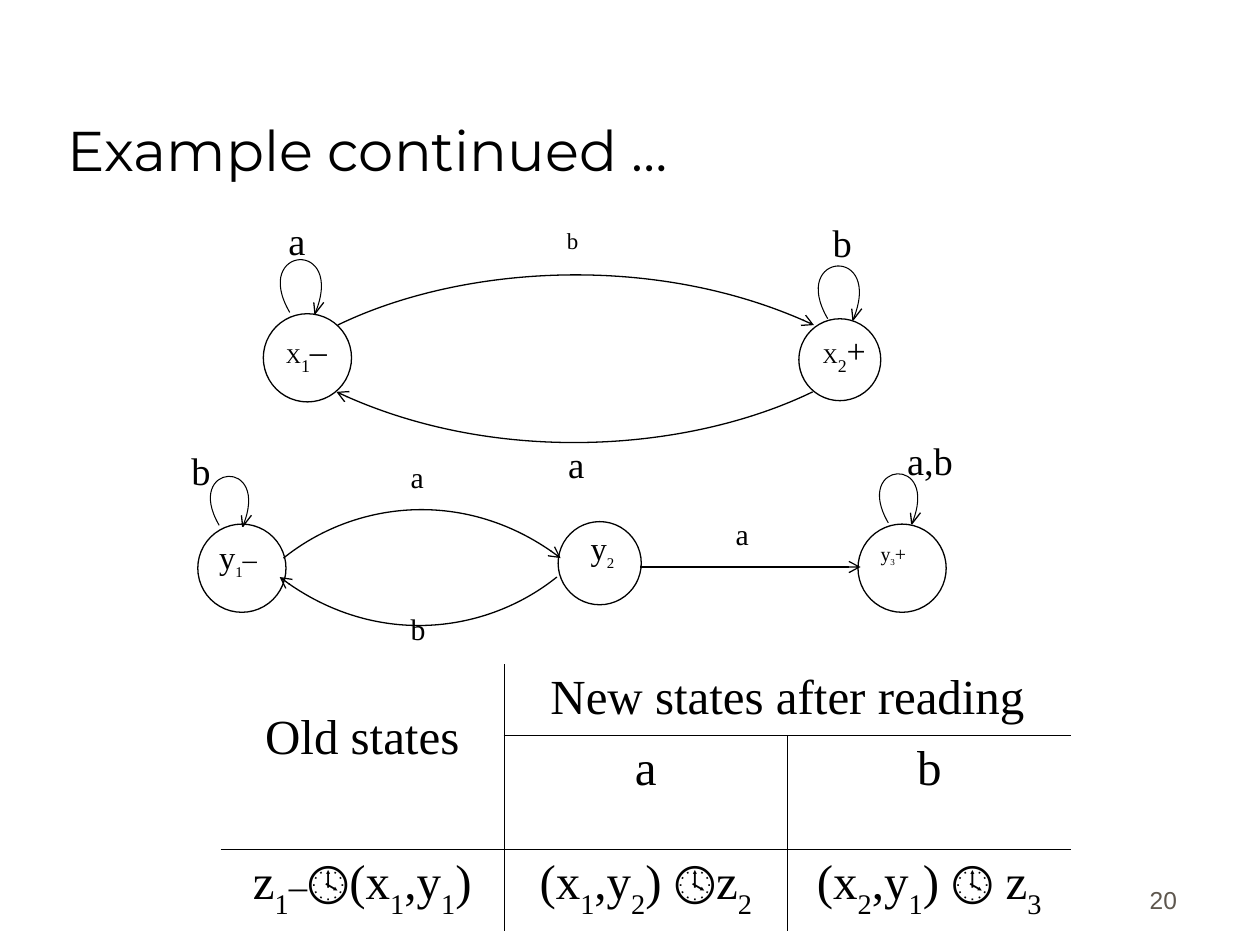
"""Build the slide with two automata and their table of combined states."""
from itertools import groupby, product

from lxml import etree
from pptx import Presentation
from pptx import util as u
from pptx.dml.color import RGBColor
from pptx.enum import shapes, text
from pptx.oxml.ns import qn

BLACK = RGBColor(0, 0, 0)
WHITE = RGBColor(255, 255, 255)
GREY = RGBColor(0x5E, 0x57, 0x4E)
SERIF = "Times New Roman"
CLOCK = "🕓"
COLS, ROWS = 100, 75
CELL = u.Inches(0.1)


def grid(n):
    """Turn a number of grid cells into a length."""
    return round(n * CELL)


def add_runs(p, parts):
    """Write (text, size) parts, with digits as subscripts and clocks in Cambria."""
    for words, size in parts:
        for (sub, clock), chars in groupby(words, lambda c: (c.isdigit(), c == CLOCK)):
            r = p.add_run()
            r.text = "".join(chars)
            r.font.size = u.Pt(size)
            if sub:
                r.font._element.set("baseline", "-30000")
            if clock:
                r.font.name = "Cambria"


def style(p, name=SERIF, color=BLACK, size=None):
    """Set the font that all runs of a paragraph share."""
    p.font.name, p.font.color.rgb = name, color
    if size:
        p.font.size = u.Pt(size)


def add_box(s, left, top, width, height, anchor=text.MSO_ANCHOR.TOP):
    """Add a wrapping text box and return its frame."""
    tf = s.shapes.add_textbox(*map(grid, (left, top, width, height))).text_frame
    tf.word_wrap = True
    tf.vertical_anchor = anchor
    return tf


def add_line_of_text(s, box, words, size, name, color, align):
    """Add one bottom-anchored line of text."""
    p = add_box(s, *box, text.MSO_ANCHOR.BOTTOM).paragraphs[0]
    p.text, p.alignment = words, align
    style(p, name, color, size)


def add_label(s, box, parts, spacing=1.0, inset=0.5):
    """Add a label of a state or an edge."""
    tf = add_box(s, *box)
    tf.margin_top = grid(inset)
    p = tf.paragraphs[0]
    p.line_spacing = spacing
    style(p)
    add_runs(p, parts)


def add_state(s, left, top, size):
    """Add the circle of a state."""
    sp = s.shapes.add_shape(shapes.MSO_SHAPE.OVAL, *map(grid, (left, top, size, size)))
    sp.shadow.inherit = False
    sp.fill.solid()
    sp.fill.fore_color.rgb = WHITE
    sp.line.color.rgb, sp.line.width = BLACK, u.Pt(0.75)


def add_arrowhead(line):
    """Put an open arrowhead at the end of a line."""
    etree.SubElement(line._get_or_add_ln(), qn("a:tailEnd"), type="arrow")


def add_stroke(s, points, width=0.75, arrow=False):
    """Draw a straight stroke from two points or a Bezier curve from four."""
    start, *rest = [tuple(map(grid, point)) for point in points]
    builder = s.shapes.build_freeform(*start)
    builder.add_line_segments(rest, close=False)
    sp = builder.convert_to_shape()
    sp.shadow.inherit = False
    sp.fill.background()
    sp.line.color.rgb, sp.line.width = BLACK, u.Pt(width)
    if len(rest) == 3:
        segments = list(sp._element.iter(qn("a:lnTo")))
        curve = etree.SubElement(segments[0].getparent(), qn("a:cubicBezTo"))
        for segment in segments:
            curve.append(segment[0])
            segment.getparent().remove(segment)
    if arrow:
        add_arrowhead(sp.line)


def add_loop(s, x, y, scale=1.0):
    """Draw a self-loop that starts at a point, with its two-stroke arrowhead."""
    curve = [(0, 0), (-3.1, -5.3), (4.5, -5.9), (2, 0.1)]
    add_stroke(s, [(x + dx * scale, y + dy * scale) for dx, dy in curve], 0.6)
    tip_x, tip_y = x + 2 * scale, y + 0.1 * scale
    for dx in (0.7, -0.1):
        add_stroke(s, [(tip_x, tip_y), (tip_x + dx, tip_y - 0.9)])


def add_straight_arrow(s, x1, x2, y):
    """Draw a level arrow between two states."""
    sp = s.shapes.add_connector(shapes.MSO_CONNECTOR.STRAIGHT,
                                *map(grid, (x1, y, x2, y)))
    sp.line.color.rgb, sp.line.width = BLACK, u.Pt(0.75)
    add_arrowhead(sp.line)
    etree.SubElement(sp._element.spPr, qn("a:effectLst"))


def set_borders(cell, sides):
    """Draw the borders whose flags are set and clear the others."""
    pr = cell._tc.get_or_add_tcPr()
    for i, (side, shown) in enumerate(sides.items()):
        ln = etree.Element(qn(f"a:ln{side}"), w=str(u.Pt(0.45)))
        fill = etree.SubElement(ln, qn("a:solidFill" if shown else "a:noFill"))
        if shown:
            etree.SubElement(fill, qn("a:srgbClr"), val=str(BLACK))
        pr.insert(i, ln)


def has_vertical(row, edge):
    """Tell whether a column edge is ruled beside a row."""
    return edge == 1 or (edge == 2 and row > 0)


def has_horizontal(edge, col):
    """Tell whether a row edge is ruled across a column."""
    return edge == 2 or (edge == 1 and col > 0)


def add_state_table(s):
    """Add the transition table."""
    cells = {
        (0, 0): [("Old states", 28)],
        (0, 1): [("New states after reading", 28)],
        (1, 1): [("a", 28)],
        (1, 2): [("b", 28)],
        (2, 0): [("z1", 28), ("–", 21), (f"{CLOCK}(x1,y1)", 28)],
        (2, 1): [(f"(x1,y2) {CLOCK}z2", 28)],
        (2, 2): [(f"(x2,y1) {CLOCK} z3", 28)],
    }
    heights = (5.7, 9, 6.5)
    tbl = s.shapes.add_table(3, 3, *map(grid, (17.5, 52.7, 67.5, sum(heights)))).table
    tbl.first_row = tbl.horz_banding = False
    for row, height in zip(tbl.rows, heights):
        row.height = grid(height)
    for r, c in product(range(3), repeat=2):
        cell = tbl.cell(r, c)
        cell.fill.background()
        set_borders(cell, {"L": has_vertical(r, c), "R": has_vertical(r, c + 1),
                           "T": has_horizontal(r, c), "B": has_horizontal(r + 1, c)})
        if (r, c) in cells:
            p = cell.text_frame.paragraphs[0]
            p.alignment = text.PP_ALIGN.CENTER
            style(p)
            add_runs(p, cells[r, c])
    tbl.cell(0, 0).merge(tbl.cell(1, 0))
    tbl.cell(0, 1).merge(tbl.cell(0, 2))
    tbl.cell(0, 0).margin_top = grid(3.7)


def add_upper_automaton(s):
    """Draw the automaton with the states x1 and x2."""
    add_state(s, 63.4, 25.3, 6.5)
    add_state(s, 20.9, 24.9, 7)
    add_stroke(s, [(26.8, 25.8), (36.5, 21.1), (52.2, 20), (64.6, 25.8)], arrow=True)
    add_stroke(s, [(64.5, 31.1), (54.8, 35.8), (39.2, 37), (26.7, 31.1)], arrow=True)
    add_loop(s, 65.7, 25.3)
    add_loop(s, 23, 24.8)
    for left, digit, sign in ((21.7, "1", "–"), (64.3, "2", "+")):
        add_label(s, (left, 24.2, 9.8, 6.8),
                  [("X", 12), (digit, 17.6), (sign, 19.4)], 0.9, 2)
    add_label(s, (65.1, 16.9, 8.4, 5.6), [("b", 22)])
    add_label(s, (21.9, 16.7, 8.4, 5.6), [("a", 22)])
    add_label(s, (44.1, 34.6, 3.9, 4.6), [("a", 21)])
    add_label(s, (44, 17.9, 3.3, 3.3), [("b", 13.1)], 0.8)


def add_lower_automaton(s):
    """Draw the automaton with the states y1, y2 and y3."""
    for left, top, size in ((44.3, 41.4, 6.6), (15.7, 41.6, 7), (68.1, 41.6, 7)):
        add_state(s, left, top, size)
    add_stroke(s, [(44.2, 45.8), (38.6, 50.3), (29.5, 51.4), (22.2, 45.8)], arrow=True)
    add_stroke(s, [(22.5, 44.3), (28.1, 39.8), (37.2, 38.7), (44.5, 44.3)], arrow=True)
    add_straight_arrow(s, 50.8, 68.3, 45)
    add_loop(s, 70.5, 41.5, 0.93)
    add_loop(s, 17.4, 41.7, 0.93)
    add_label(s, (71, 34.2, 9.8, 6.7), [("a,b", 22)])
    add_label(s, (14.2, 35, 9.8, 6.7), [("b", 22)])
    for left, top, letter in ((31.6, 36.5, "a"), (57.4, 41, "a"), (31.6, 48.5, "b")):
        add_label(s, (left, top, 4.1, 4), [(letter, 17)], 0.8)
    add_label(s, (16.4, 42.5, 8, 4.6), [("y", 18.6), ("1", 14.7), ("–", 16.3)], 0.8)
    add_label(s, (45.9, 41.8, 8, 4.5), [("y", 18.6), ("2", 14.7)], 0.8)
    add_label(s, (68.9, 42.7, 7.7, 3.4), [("y", 11.4), ("3", 9), ("+", 11.4)], 0.8)


def main():
    """Build and save the slide."""
    prs = Presentation()
    prs.slide_width, prs.slide_height = grid(COLS), grid(ROWS)
    s = prs.slides.add_slide(prs.slide_layouts[6])
    add_line_of_text(s, (73.6, 68.1, 20.8, 5), "20", 14, "Arial", GREY,
                     text.PP_ALIGN.RIGHT)
    add_line_of_text(s, (4.4, 2.5, 85, 12.5), "Example continued …", 32, "Montserrat",
                     BLACK, text.PP_ALIGN.LEFT)
    add_upper_automaton(s)
    add_lower_automaton(s)
    add_state_table(s)
    prs.save("out.pptx")


if __name__ == "__main__":
    main()
